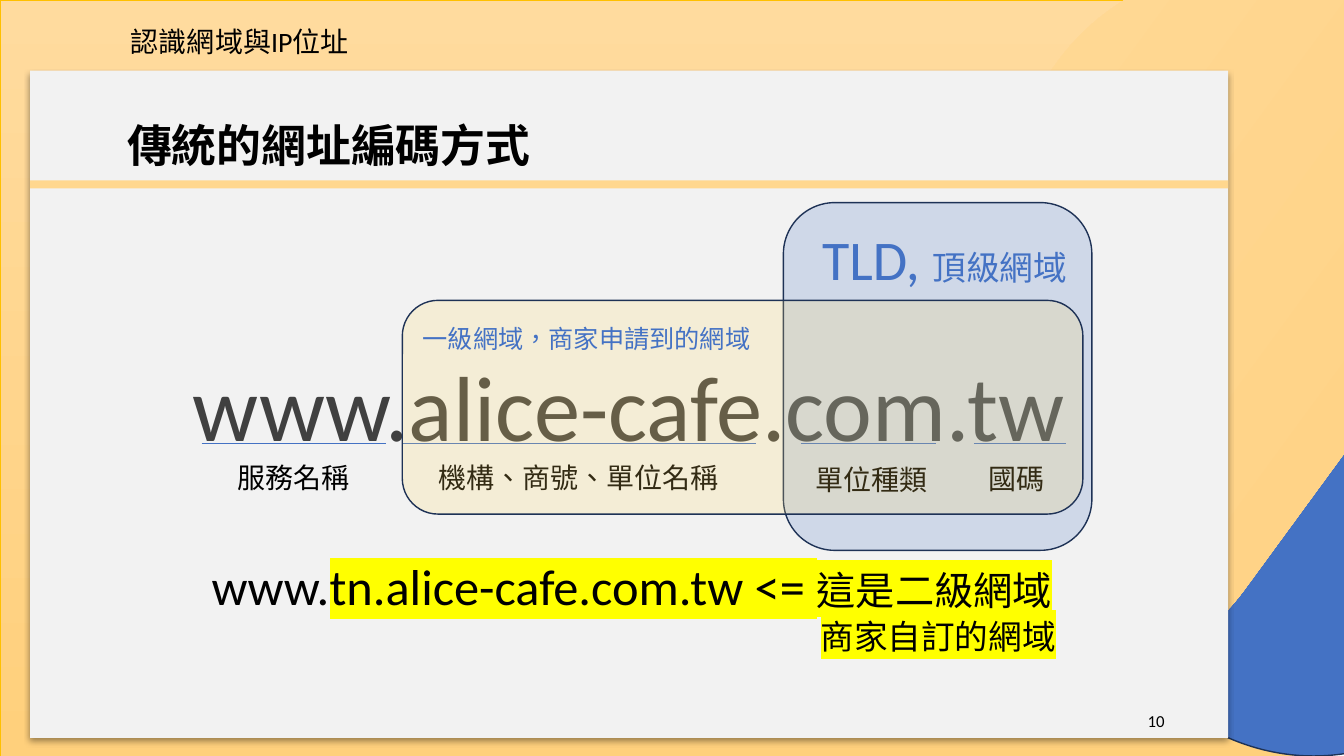
from lxml import etree
from pptx import Presentation
from pptx.dml.color import RGBColor
from pptx.enum.shapes import MSO_CONNECTOR, MSO_SHAPE
from pptx.enum.text import MSO_ANCHOR, MSO_AUTO_SIZE, PP_ALIGN
from pptx.oxml import parse_xml
from pptx.oxml.ns import nsdecls, qn
from pptx.util import Pt

PX = 9144
LATIN, HAN = "Calibri", "Noto Sans CJK SC"
BLACK = RGBColor(0x00, 0x00, 0x00)
GREY = RGBColor(0x40, 0x40, 0x40)
PAPER = RGBColor(0xF2, 0xF2, 0xF2)
BLUE = RGBColor(0x44, 0x72, 0xC4)
NAVY = RGBColor(0x1E, 0x32, 0x56)
GOLD = RGBColor(0xFF, 0xC0, 0x00)
SAND = RGBColor(0xFF, 0xD7, 0x8E)
PALE_ORANGE = RGBColor(0xFF, 0xDB, 0x9E)
ORANGE = RGBColor(0xFF, 0xD0, 0x7C)
YELLOW = RGBColor(0xFF, 0xD9, 0x66)
MARKER = RGBColor(0xFF, 0xFF, 0x00)


def scale(box):
    """Turn px lengths into EMU."""
    return [length * PX for length in box]


def add_run(paragraph, text, size, color=BLACK, bold=False, highlight=None):
    """Append one formatted run, with Latin and Han fonts."""
    run = paragraph.add_run()
    run.text = text
    font = run.font
    font.size, font.bold, font.name = Pt(size), bold, LATIN
    font.color.rgb = color
    properties = run._r.get_or_add_rPr()
    properties.set("lang", "zh-TW")
    latin = properties.find(qn("a:latin"))
    latin.addnext(parse_xml(f'<a:ea {nsdecls("a")} typeface="{HAN}"/>'))
    if highlight is not None:
        latin.addprevious(parse_xml(
            f'<a:highlight {nsdecls("a")}><a:srgbClr val="{highlight}"/></a:highlight>'))


def add_block(slide, kind, box, fill=None, line=None, width=1, alpha=None):
    """Add a shape with a plain or gradient fill and an optional outline."""
    shape = slide.shapes.add_shape(kind, *scale(box))
    shape.shadow.inherit = False
    if fill is None:
        shape.fill.gradient()
        shape.fill.gradient_angle = 270
        for stop, color in zip(shape.fill.gradient_stops, (PALE_ORANGE, ORANGE)):
            stop.color.rgb = color
    else:
        shape.fill.solid()
        shape.fill.fore_color.rgb = fill
    if alpha is not None:
        color = shape._element.spPr.find(qn("a:solidFill"))[0]
        etree.SubElement(color, qn("a:alpha")).set("val", str(alpha * 1000))
    if line is None:
        shape.line.fill.background()
    else:
        shape.line.color.rgb = line
        shape.line.width = Pt(width)
    return shape


def add_text(slide, box, text=None, size=20, wrap=True):
    """Add a text box and return its frame."""
    frame = slide.shapes.add_textbox(*scale(box)).text_frame
    frame.word_wrap = wrap
    frame.auto_size = MSO_AUTO_SIZE.SHAPE_TO_FIT_TEXT
    if text:
        add_run(frame.paragraphs[0], text, size)
    return frame


def add_backdrop(slide, box):
    """Draw the orange background with its blue corner."""
    left, top, width, height = box
    panel = (left, top, width - 29, height)
    add_block(slide, MSO_SHAPE.RECTANGLE, panel, line=GOLD, width=0.5)
    add_block(slide, MSO_SHAPE.OVAL, (left + 1026, top, 554, height), BLUE, NAVY)
    pill = add_block(slide, MSO_SHAPE.ROUNDED_RECTANGLE, (left + 756, top + 93, 772, 459))
    pill.adjustments[0] = 0.5
    pill.rotation = 306.2


def add_card(slide, box):
    """Draw the shadowed card that carries the address."""
    card = add_block(slide, MSO_SHAPE.RECTANGLE, box, PAPER)
    effects = card._element.spPr.find(qn("a:effectLst"))
    effects.append(parse_xml(
        f'<a:outerShdw {nsdecls("a")} blurRad="50800" dist="38100" dir="5400000" '
        'algn="t" rotWithShape="0"><a:srgbClr val="000000"><a:alpha val="40000"/>'
        '</a:srgbClr></a:outerShdw>'))
    frame = card.text_frame
    frame.vertical_anchor = MSO_ANCHOR.MIDDLE
    frame.paragraphs[0].alignment = PP_ALIGN.CENTER
    add_run(frame.paragraphs[0], "www.alice-cafe.com.tw", 66, GREY)


def add_heading(slide, box):
    """Place the title, the rule below it and the page number."""
    left, top, width, height = box
    title = slide.shapes.title
    title.left, title.top, title.width, title.height = scale((left + 86, top + 4, 1150, 145))
    slide.shapes._spTree.append(title._element)
    frame = title.text_frame
    frame.vertical_anchor = MSO_ANCHOR.MIDDLE
    paragraph = frame.paragraphs[0]
    paragraph.alignment = PP_ALIGN.LEFT
    paragraph.line_spacing = 0.9
    add_run(paragraph, "傳統的網址編碼方式", 32, bold=True)
    add_block(slide, MSO_SHAPE.RECTANGLE, (left, top + 109, width, 8), SAND)
    number = add_text(slide, (left + 835, top + 625, 300, 40), "10", 12)
    number.auto_size = MSO_AUTO_SIZE.NONE
    number.vertical_anchor = MSO_ANCHOR.MIDDLE
    number.paragraphs[0].alignment = PP_ALIGN.RIGHT


def add_domain(slide, box, color, runs, alignment, inset):
    """Draw a translucent rounded frame labelled at its top."""
    shape = add_block(slide, MSO_SHAPE.ROUNDED_RECTANGLE, box, color, NAVY, alpha=20)
    frame = shape.text_frame
    frame.vertical_anchor = MSO_ANCHOR.TOP
    frame.margin_top = inset * PX
    paragraph = frame.paragraphs[0]
    paragraph.alignment = alignment
    for text, size in runs:
        add_run(paragraph, text, size, BLUE)


def add_address_parts(slide, box):
    """Underline and name each part of the address."""
    left, top = box[:2]
    parts = (
        (0, 183, "服務名稱", 26, 12, 132),
        (199, 550, "機構、商號、單位名稱", 225, 12, 301),
        (594, 728, "單位種類", 599, 14, 132),
        (766, 857, "國碼", 771, 13, 76),
    )
    for start, end, name, label_left, label_top, label_width in parts:
        ends = scale((left + start, top, left + end, top))
        underline = slide.shapes.add_connector(MSO_CONNECTOR.STRAIGHT, *ends)
        underline.line.color.rgb = BLUE
        underline.line.width = Pt(0.5)
        etree.SubElement(underline._element.spPr, qn("a:effectLst"))
        add_text(slide, (left + label_left, top + label_top, label_width, 44), name, wrap=False)


def add_example(slide, box):
    """Write the second-level domain example."""
    frame = add_text(slide, box)
    paragraph = frame.paragraphs[0]
    add_run(paragraph, "www.", 36)
    add_run(paragraph, "tn.alice-cafe.com.tw <= ", 36, highlight=MARKER)
    add_run(paragraph, "這是二級網域", 28, highlight=MARKER)
    remark = frame.add_paragraph()
    remark.alignment = PP_ALIGN.RIGHT
    add_run(remark, "商家自訂的網域", 24, highlight=MARKER)


def main():
    """Build and save the slide."""
    presentation = Presentation()
    presentation.slide_width, presentation.slide_height = scale((1333, 750))
    slide = presentation.slides.add_slide(presentation.slide_layouts[5])
    card = (30, 70, 1188, 662)
    add_backdrop(slide, (0, 0, 1333, 750))
    add_card(slide, card)
    add_domain(slide, (777, 201, 306, 345), BLUE,
               (("TLD, ", 40), ("頂級網域", 24)), PP_ALIGN.RIGHT, 7)
    add_heading(slide, card)
    add_address_parts(slide, (200, 440, 857, 58))
    add_example(slide, (200, 546, 857, 111))
    add_domain(slide, (399, 298, 675, 212), YELLOW,
               (("一級網域，商家申請到的網域", 18),), PP_ALIGN.LEFT, 12)
    add_text(slide, (120, 19, 674, 44), "認識網域與IP位址")
    presentation.save("out.pptx")


if __name__ == "__main__":
    main()
